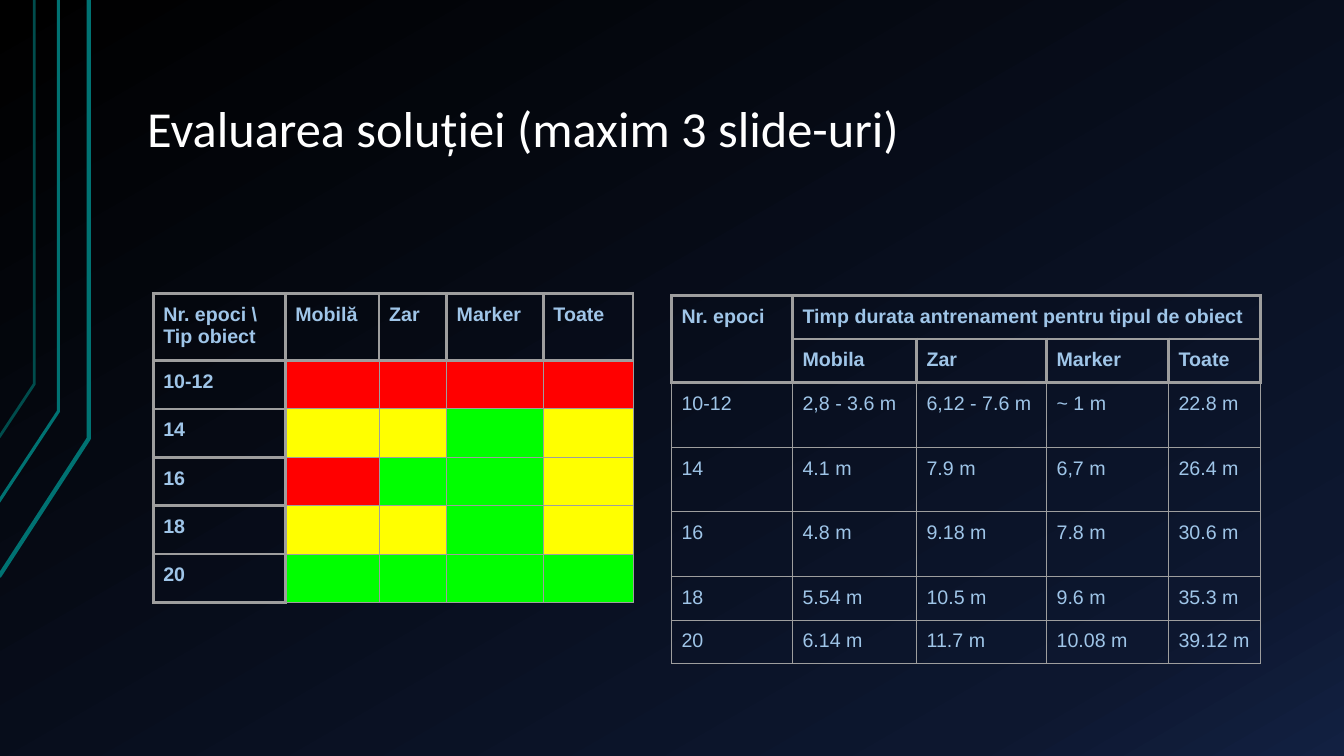
from copy import deepcopy
from pptx import Presentation
from pptx.dml.color import RGBColor
from pptx.enum.text import MSO_ANCHOR as Anchor
from pptx.oxml import parse_xml
from pptx.oxml.ns import nsdecls
from pptx.util import Inches, Pt

UNIT = Inches(0.01)  # one grid step; the slide is 1333 columns by 750 rows
MARGINS = ("margin_left", "margin_top", "margin_right", "margin_bottom")
HEAVY, THIN = Pt(2.25), Pt(0.75)
R, Y, G = "FF0000", "FFFF00", "00FF00"


def paint(color, value):
    color.rgb = RGBColor.from_string(value)


def write(frame, text, **format_values):
    """Put one styled line of text into a frame and return its paragraph."""
    para = frame.paragraphs[0]
    span = para.add_run()
    span.text = text
    paint(span.font.color, format_values.pop("color"))
    for name, value in format_values.items():
        setattr(span.font, name, value)
    return para


deck = Presentation()
deck.slide_width, deck.slide_height = 1333 * UNIT, 750 * UNIT
page = deck.slides.add_slide(deck.slide_layouts[6])

# Background gradient
backdrop = page.background.fill
backdrop.gradient()
backdrop.gradient_angle = 300
first_stop = backdrop.gradient_stops
stop_list = backdrop._fill._gradFill.gsLst
stop_list.insert(1, deepcopy(stop_list[0]))
for stop, (position, color) in zip(
        backdrop.gradient_stops, [(0, "000000"), (0.85, "0D172F"), (1, "122041")]):
    stop.position = position
    paint(stop.color, color)

# Bent lines on the left edge: start, bend, colour, width
for start, bend, color, width in [
        ((-1, 572), (88, 435), "007272", 3),
        ((-2, 499), (58, 408), "007272", 2.25),
        ((-1, 434), (34, 381), "004C4C", 2)]:
    builder = page.shapes.build_freeform(*start, scale=UNIT)
    builder.add_line_segments([bend, (bend[0], 0)], close=False)
    bent_line = builder.convert_to_shape()
    bent_line.shadow.inherit = False
    bent_line.fill.background()
    paint(bent_line.line.color, color) if bent_line.line.fill.solid() else None
    paint(bent_line.line.color, color)
    bent_line.line.width = Pt(width)

# Title
box = page.shapes.add_textbox(133 * UNIT, 30 * UNIT, 1133 * UNIT, 134 * UNIT)
frame = box.text_frame
frame.word_wrap, frame.vertical_anchor = True, Anchor.BOTTOM
for side, inset in zip(MARGINS, (13, 7, 13, 7)):
    setattr(frame, side, inset * UNIT)
title = write(frame, "Evaluarea soluției (maxim 3 slide-uri)",
              color="FFFFFF", size=Pt(36), name="Calibri")
title.line_spacing = 0.9

# Tables: heavy borders surround the header rows and the bold label columns
quality = {
    "corner": (152, 291), "columns": [131, 93, 67, 96, 89],
    "rows": [64] + [48] * 5, "header_rows": 1, "label_columns": 1, "merges": [],
    "texts": [["Nr. epoci \\ Tip obiect", "Mobilă", "Zar", "Marker", "Toate"]]
    + [[epochs, "", "", "", ""] for epochs in ("10-12", "14", "16", "18", "20")],
    "fills": [[], [R, R, R, R], [Y, Y, G, Y], [R, G, G, Y], [Y, Y, G, Y], [G, G, G, G]],
}
duration = {
    "corner": (666, 293), "columns": [120, 123, 129, 121, 91],
    "rows": [42] * 2 + [64] * 3 + [42] * 2, "header_rows": 2, "label_columns": 0,
    "merges": [((0, 0), (1, 0)), ((0, 1), (0, 4))],
    "texts": [
        ["Nr. epoci", "Timp durata antrenament pentru tipul de obiect", "", "", ""],
        ["", "Mobila", "Zar", "Marker", "Toate"],
        ["10-12", "2,8 - 3.6 m", "6,12 - 7.6 m", "~ 1 m", "22.8 m"],
        ["14", "4.1 m", "7.9 m", "6,7 m", "26.4 m"],
        ["16", "4.8 m", "9.18 m", "7.8 m", "30.6 m"],
        ["18", "5.54 m", "10.5 m", "9.6 m", "35.3 m"],
        ["20", "6.14 m", "11.7 m", "10.08 m", "39.12 m"]],
    "fills": [[]] * 7,
}
for plan in (quality, duration):
    widths, heights, texts = plan["columns"], plan["rows"], plan["texts"]
    left, top = plan["corner"]
    table = page.shapes.add_table(
        len(heights), len(widths), left * UNIT, top * UNIT,
        sum(widths) * UNIT, sum(heights) * UNIT).table
    table.first_row = table.horz_banding = False
    for column, width in zip(table.columns, widths):
        column.width = width * UNIT
    for row, height in zip(table.rows, heights):
        row.height = height * UNIT
    for first, last in plan["merges"]:
        table.cell(*first).merge(table.cell(*last))

    heading = [[r < plan["header_rows"] or c < plan["label_columns"]
                for c in range(len(widths))] for r in range(len(heights))]
    for r, line in enumerate(texts):
        for c, text in enumerate(line):
            cell = table.cell(r, c)
            bold = heading[r][c]
            # Borders
            heavy = {"L": bold or (c > 0 and plan["label_columns"] == c), "R": bold,
                     "T": bold or heading[r - 1][c] and r > 0, "B": bold}
            for side, is_heavy in heavy.items():
                cell._tc.get_or_add_tcPr().append(parse_xml(
                    f'<a:ln{side} {nsdecls("a")} w="{HEAVY if is_heavy else THIN}">'
                    f'<a:solidFill><a:srgbClr val="9E9E9E"/></a:solidFill></a:ln{side}>'))
            # Fill
            if plan["fills"][r] and c > 0:
                cell.fill.solid()
                paint(cell.fill.fore_color, plan["fills"][r][c - 1])
            else:
                cell.fill.background()
            # Text
            if text:
                for side in MARGINS:
                    setattr(cell, side, 10 * UNIT)
                write(cell.text_frame, text, color="9FC5E8",
                      size=Pt(14), name="Arial", bold=bold)

deck.save("out.pptx")
